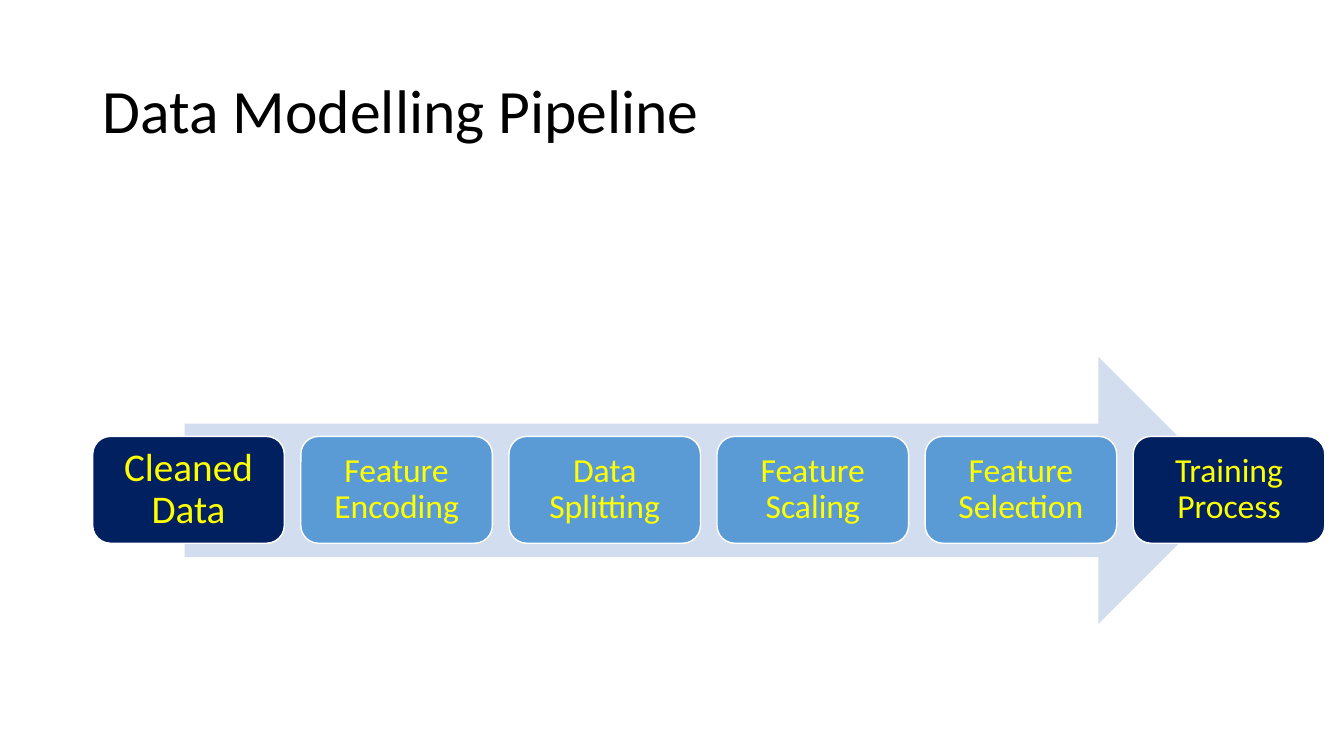
from pptx import Presentation
from pptx.dml.color import RGBColor
from pptx.enum.shapes import MSO_SHAPE
from pptx.enum.text import MSO_ANCHOR, PP_ALIGN
from pptx.util import Inches, Pt

ARROW, ROUNDED = MSO_SHAPE.RIGHT_ARROW, MSO_SHAPE.ROUNDED_RECTANGLE
MIDDLE = MSO_ANCHOR.MIDDLE
LEFT, CENTER = PP_ALIGN.LEFT, PP_ALIGN.CENTER

COLORS = {
    "title": "000000",
    "arrow": "D2DEEF",
    "endpoint": "002060",
    "step": "5B9BD5",
    "outline": "FFFFFF",
    "label": "FFFF00",
}


def color(name):
    return RGBColor.from_string(COLORS[name])


def write_text(frame, text, font="Calibri", size=24, ink="label",
               align=CENTER, inset=(0.1, 0.1)):
    frame.word_wrap = True
    frame.vertical_anchor = MIDDLE
    frame.margin_left = frame.margin_right = Inches(inset[0])
    frame.margin_top = frame.margin_bottom = Inches(inset[1])
    paragraph = frame.paragraphs[0]
    paragraph.alignment = align
    paragraph.line_spacing = 0.9
    run = paragraph.add_run()
    run.text = text
    run.font.name = font
    run.font.size = Pt(size)
    run.font.color.rgb = color(ink)


class PipelineSlide:
    def __init__(self, slide, font="Calibri"):
        self.shapes = slide.shapes
        self.font = font

    def title(self, text, left, top, width, height):
        heading = self.shapes.add_textbox(
            Inches(left), Inches(top), Inches(width), Inches(height))
        write_text(heading.text_frame, text, font=self.font, size=44,
                   ink="title", align=LEFT, inset=(0.1, 0.05))

    def block(self, preset, left, top, width, height, fill, outline=None):
        block = self.shapes.add_shape(
            preset, Inches(left), Inches(top), Inches(width), Inches(height))
        block.shadow.inherit = False
        block.fill.solid()
        block.fill.fore_color.rgb = color(fill)
        if outline:
            block.line.color.rgb = color(outline)
            block.line.width = Pt(1)
        else:
            block.line.fill.background()
        return block

    def stage(self, text, left, top, width, height, fill, size, inset):
        stage = self.block(ROUNDED, left, top, width, height, fill, "outline")
        write_text(stage.text_frame, text, font=self.font, size=size,
                   inset=(inset, inset))


def main():
    deck = Presentation()
    deck.slide_width, deck.slide_height = Inches(13.33), Inches(7.5)
    pipeline = PipelineSlide(deck.slides.add_slide(deck.slide_layouts[6]))

    # Title
    pipeline.title("Data Modelling Pipeline", 0.92, 0.4, 11.5, 1.45)

    # Background arrow
    pipeline.block(ARROW, 1.83, 3.54, 10.39, 2.65, "arrow")

    # Stages, evenly spaced from the first to the last
    stages = ["Cleaned Data", "Feature Encoding", "Data Splitting",
              "Feature Scaling", "Feature Selection", "Training Process"]
    first_left, last_left = 0.92, 11.24
    last = len(stages) - 1
    pitch = (last_left - first_left) / last
    for index, label in enumerate(stages):
        fill = "endpoint" if index in (0, last) else "step"
        size, inset = (28, 0.12) if index == 0 else (24, 0.1)
        pipeline.stage(label, first_left + index * pitch, 4.33, 1.9, 1.06,
                       fill, size, inset)

    deck.save("out.pptx")


if __name__ == "__main__":
    main()
